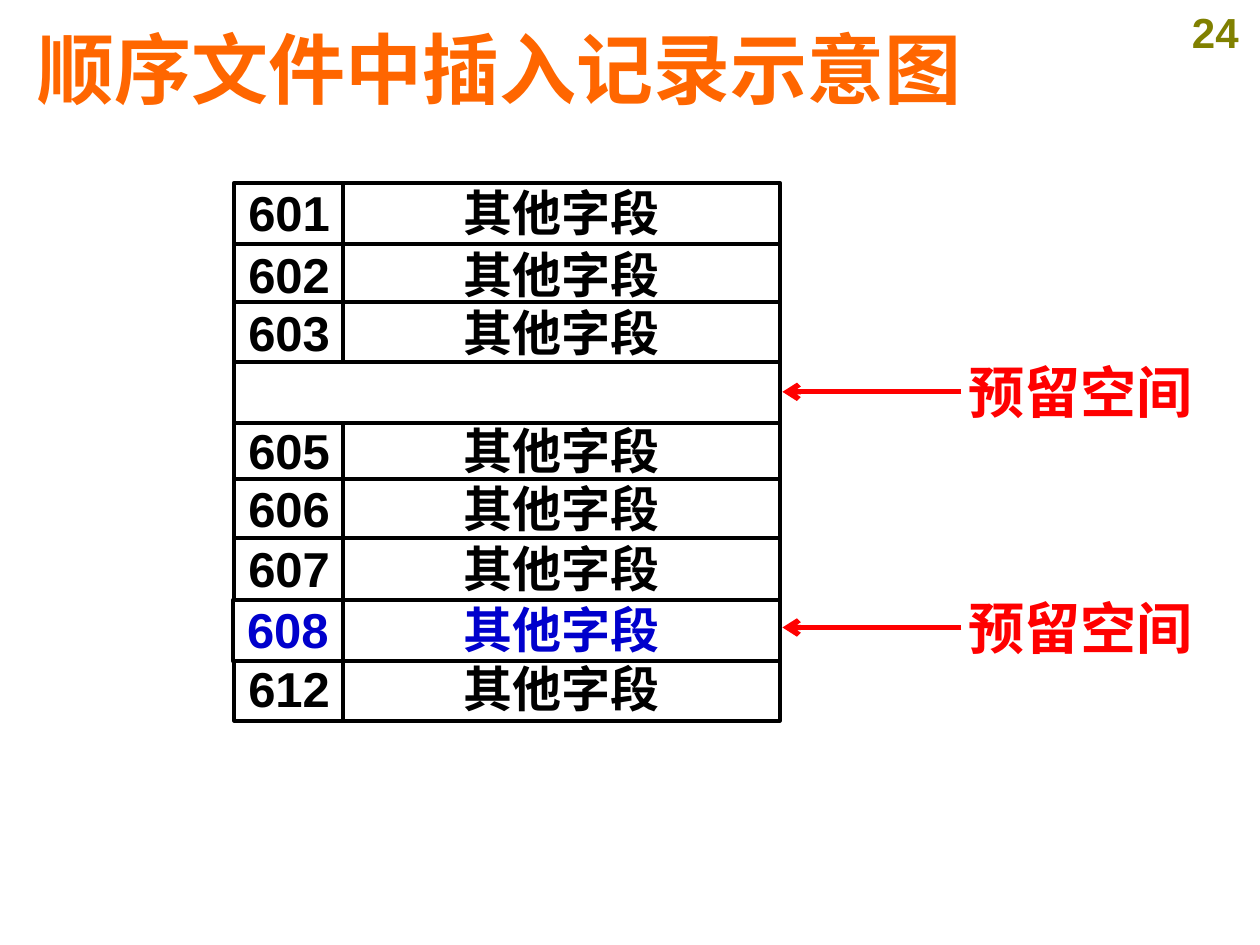
"""Build a slide that shows records being inserted into a sequential file."""
from lxml import etree
from pptx import Presentation
from pptx.dml.color import RGBColor
from pptx.enum.shapes import MSO_CONNECTOR, MSO_SHAPE
from pptx.enum.text import MSO_ANCHOR, PP_ALIGN
from pptx.oxml.ns import qn
from pptx.util import Inches, Pt

RECTANGLE = MSO_SHAPE.RECTANGLE
STRAIGHT = MSO_CONNECTOR.STRAIGHT
TOP, MIDDLE = MSO_ANCHOR.TOP, MSO_ANCHOR.MIDDLE
LEFT, CENTER = PP_ALIGN.LEFT, PP_ALIGN.CENTER

FONT = "Arial"
COLORS = {
    "title": "FF6600",
    "number": "808000",
    "record": "000000",
    "inserted": "0000CC",
    "reserved": "FF0000",
    "paper": "FFFFFF",
}
TITLE_ONLY = 5
ROW_HEIGHT = 0.49
KEY_LEFT, KEY_WIDTH = 1.86, 0.87
FIELD_LEFT, FIELD_WIDTH = 2.72, 3.47
RECORDS = [
    ("601", 1.45),
    ("602", 1.94),
    ("603", 2.4),
    ("605", 3.34),
    ("606", 3.8),
    ("607", 4.27),
    ("612", 5.23),
]
RESERVED_TOP = 2.87
INSERTED_TOP = 4.76
LABEL_TOPS = (2.84, 4.71)
LABEL_LEFT, LABEL_WIDTH = 7.63, 1.89
ARROW_END, ARROW_DROP = 6.21, 0.27


def color(name):
    return RGBColor.from_string(COLORS[name])


def write(shape, text, size, color_name, alignment=CENTER):
    shape.text_frame.text = text
    paragraph = shape.text_frame.paragraphs[0]
    paragraph.alignment = alignment
    font = paragraph.runs[0].font
    font.name, font.size, font.bold = FONT, Pt(size), True
    font.color.rgb = color(color_name)


def add_box(slide, left, top, width, outlined=True):
    shape = slide.shapes.add_shape(
        RECTANGLE, Inches(left), Inches(top), Inches(width), Inches(ROW_HEIGHT))
    shape.shadow.inherit = False
    shape.fill.solid()
    shape.fill.fore_color.rgb = color("paper")
    if outlined:
        shape.line.color.rgb = color("record")
        shape.line.width = Pt(2.25)
    else:
        shape.line.fill.background()
    frame = shape.text_frame
    frame.margin_left = frame.margin_right = 0
    frame.margin_top = frame.margin_bottom = 0
    frame.vertical_anchor = TOP
    return shape


def add_record(slide, key, top, color_name="record", key_left=KEY_LEFT):
    key_box = add_box(slide, key_left, top, KEY_WIDTH)
    write(key_box, key, 28, color_name)
    field_box = add_box(slide, FIELD_LEFT, top, FIELD_WIDTH)
    write(field_box, "其他字段", 28, color_name)


def add_label(slide, top):
    label = add_box(slide, LABEL_LEFT, top, LABEL_WIDTH, outlined=False)
    write(label, "预留空间", 32, "reserved")
    height = Inches(top + ARROW_DROP)
    arrow = slide.shapes.add_connector(
        STRAIGHT, Inches(LABEL_LEFT), height, Inches(ARROW_END), height)
    arrow.line.color.rgb = color("reserved")
    arrow.line.width = Pt(3)
    etree.SubElement(arrow.line._get_or_add_ln(), qn("a:tailEnd"), type="arrow")
    etree.SubElement(arrow._element.spPr, qn("a:effectLst"))


def add_title(slide):
    title = slide.shapes.title
    title.left, title.top = Inches(0.2), Inches(0.16)
    title.width, title.height = Inches(9.47), Inches(0.76)
    write(title, "顺序文件中插入记录示意图", 44, "title", LEFT)
    title.text_frame.vertical_anchor = MIDDLE


def add_page_number(slide):
    number = slide.shapes.add_textbox(
        Inches(9.29), 0, Inches(0.71), Inches(0.5))
    number.text_frame.word_wrap = True
    write(number, "24", 24, "number")


def main():
    presentation = Presentation()
    presentation.slide_width, presentation.slide_height = Inches(10), Inches(7.5)
    slide = presentation.slides.add_slide(presentation.slide_layouts[TITLE_ONLY])
    add_page_number(slide)
    add_title(slide)
    for key, top in RECORDS:
        add_record(slide, key, top)
    add_box(slide, KEY_LEFT, RESERVED_TOP, FIELD_LEFT + FIELD_WIDTH - KEY_LEFT)
    add_record(slide, "608", INSERTED_TOP, "inserted", key_left=1.85)
    for top in LABEL_TOPS:
        add_label(slide, top)
    presentation.save("out.pptx")


if __name__ == "__main__":
    main()
